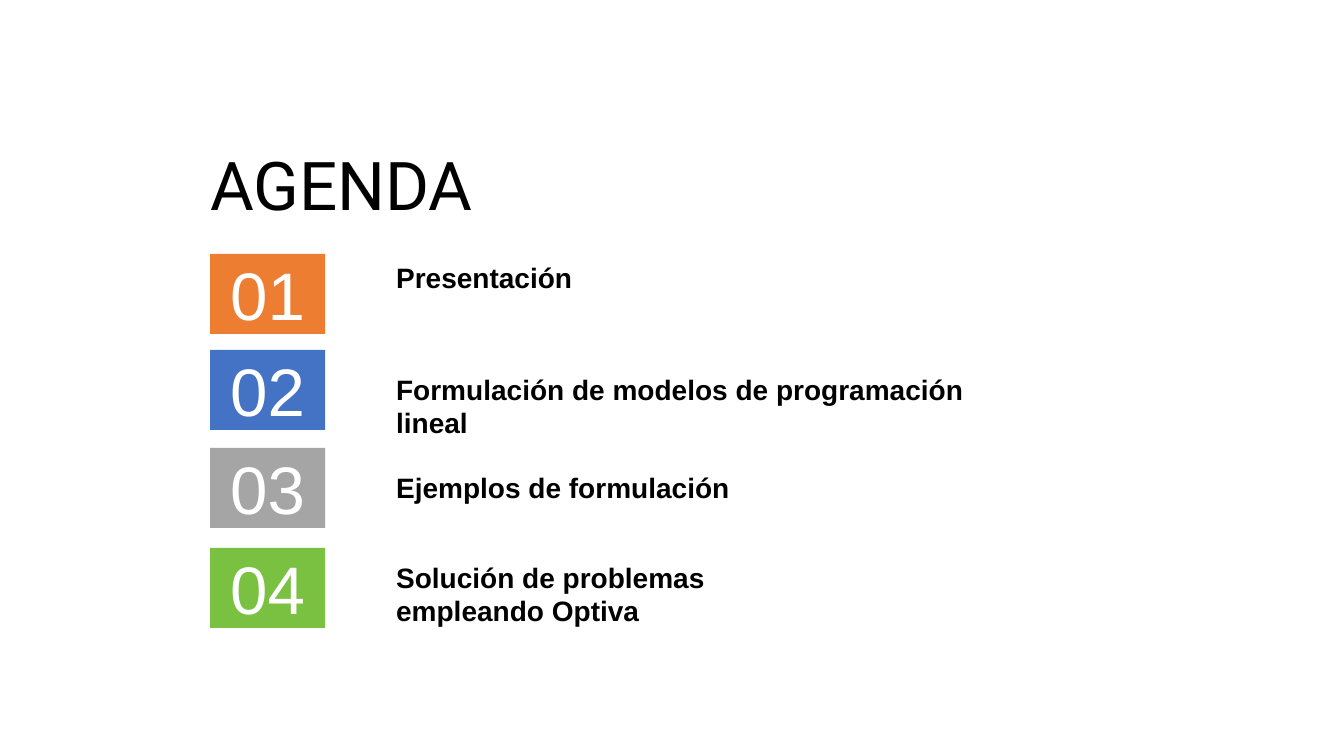
from pptx import Presentation
from pptx.dml.color import RGBColor
from pptx.enum.shapes import MSO_SHAPE
from pptx.enum.text import MSO_ANCHOR, MSO_AUTO_SIZE, PP_ALIGN
from pptx.util import Emu, Inches, Pt

TITLE = "AGENDA"
# topic, colour, number box top, topic top, topic width, topic lines
AGENDA = [
    ("Presentación", "orange", 254, 260, 501, 1),
    ("Formulación de modelos de programación lineal", "blue", 350, 372, 570, 2),
    ("Ejemplos de formulación", "gray", 448, 471, 501, 1),
    ("Solución de problemas empleando Optiva", "green", 548, 560, 463, 2),
]

THEME = {
    "orange": "ED7D31", "blue": "4472C4", "gray": "A5A5A5", "green": "7AC142",
    "title": {"name": "Roboto", "size": Pt(48), "color": "000000"},
    "number": {"name": "Arial", "size": Pt(48), "color": "FFFFFF"},
    "topic": {"name": "Arial", "size": Pt(20), "color": "000000", "bold": True},
}

LEFT, TOPIC_LEFT = 210, 396
BOX_W, BOX_H = 115, 80
LINE_H = 34
PX_PER_INCH = 100.8


def px(*lengths):
    return [Emu(round(n * 914400 / PX_PER_INCH)) for n in lengths]


def write(tf, text, style, margins=(0, 0), align=PP_ALIGN.LEFT, **frame):
    """Fill a text frame with one styled run; margins are horizontal, vertical."""
    side, end = px(*margins)
    frame.update(margin_left=side, margin_right=side, margin_top=end, margin_bottom=end)
    for name, value in frame.items():
        setattr(tf, name, value)
    p = tf.paragraphs[0]
    p.alignment = align
    r = p.add_run()
    r.text = text
    for name, value in THEME[style].items():
        if name == "color":
            r.font.color.rgb = RGBColor.from_string(value)
        else:
            setattr(r.font, name, value)


def add_label(slide, box, text, style, wrap):
    tb = slide.shapes.add_textbox(*px(*box))
    write(tb.text_frame, text, style, word_wrap=wrap,
          auto_size=MSO_AUTO_SIZE.SHAPE_TO_FIT_TEXT)


def add_number(slide, top, number, color):
    s = slide.shapes.add_shape(MSO_SHAPE.RECTANGLE, *px(LEFT, top, BOX_W, BOX_H))
    s.shadow.inherit = False
    s.fill.solid()
    s.fill.fore_color.rgb = RGBColor.from_string(THEME[color])
    s.line.fill.background()
    write(s.text_frame, f"{number:02d}", "number", (8, 4), PP_ALIGN.CENTER,
          word_wrap=True, vertical_anchor=MSO_ANCHOR.MIDDLE)


def main():
    prs = Presentation()
    prs.slide_width, prs.slide_height = Inches(13.33), Inches(7.5)
    slide = prs.slides.add_slide(prs.slide_layouts[6])
    add_label(slide, (LEFT, 143, 317, 82), TITLE, "title", False)
    for number, (topic, color, box_top, top, width, lines) in enumerate(AGENDA, 1):
        add_number(slide, box_top, number, color)
        add_label(slide, (TOPIC_LEFT, top, width, lines * LINE_H), topic, "topic", True)
    prs.save("out.pptx")


if __name__ == "__main__":
    main()
